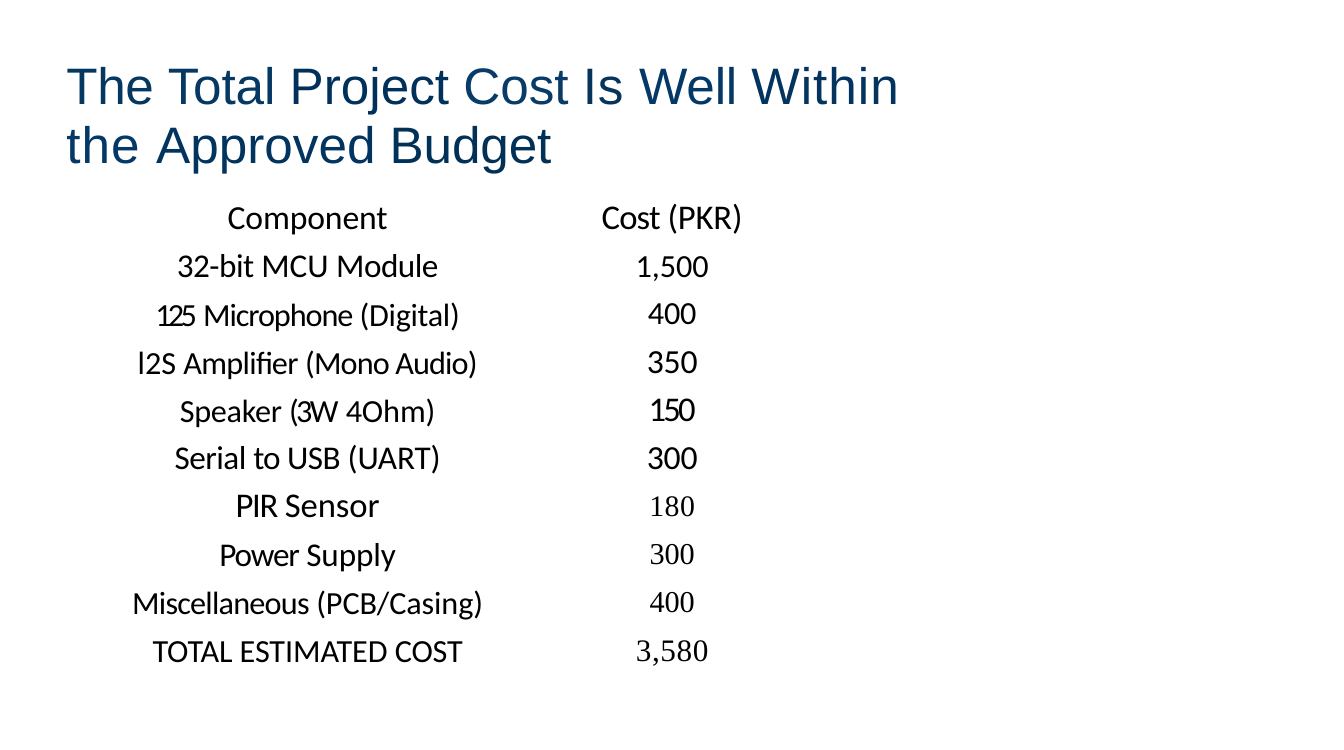
from pptx import Presentation
from pptx.dml.color import RGBColor
from pptx.enum.text import MSO_ANCHOR, MSO_AUTO_SIZE, PP_ALIGN
from pptx.util import Pt

LEFT, CENTER = PP_ALIGN.LEFT, PP_ALIGN.CENTER
TOP = MSO_ANCHOR.TOP
GROW = MSO_AUTO_SIZE.SHAPE_TO_FIT_TEXT
TITLE_ONLY = 5

SANS, SERIF, HEAD = "Calibri", "Times New Roman", "Arial"

# Left and right inset of each table column
SIDES = ((0, 56), (59.5, 0))

# Title runs: text, letter spacing, colour
TITLE = [
    ("The ", -0.4, "053860"), ("Total ", -0.1, "053862"),
    ("Project ", 0, "01315B"), ("Cost ", 0, "083B67"),
    ("Is ", 0.8, "07345B"), ("Well ", -0.2, "033867"),
    ("Within ", 1.1, "033460"), ("the ", 1.1, "033867"),
    ("Approved ", 0, "01345E"), ("Budget", -0.1, "013157"),
]

# Each cell: font, size, line height, top inset, runs of text and spacing
COSTS = [
    ((SANS, 34.5, 37.5, 0, [("Component", -0.1)]),
     (SANS, 35.5, 37.6, 0, [("Cost ", -0.9), ("(PKR)", -0.2)])),
    ((SANS, 34, 39.6, 0, [("32-bit ", -0.5), ("MCU ", 0), ("Module", -0.5)]),
     (SANS, 33, 39.5, 0, [("1,500", -0.1)])),
    ((SANS, 33, None, 0,
      [("125", -3.9), (" Microphone ", -1.1), ("(Digital)", -0.3)]),
     (SANS, 33, 39.1, 0, [("400", -0.2)])),
    ((SANS, 33, None, 1,
      [("l2S ", 0), ("Amplifier ", -0.7), ("(Mono Audio)", -0.9)]),
     (SANS, 34.5, 40.5, 0, [("350", -0.2)])),
    ((SANS, 33, None, 1,
      [("Speaker ", -0.3), ("(3W", -2.7), (" 4Ohm)", -0.1)]),
     (SANS, 35.5, 40.5, 0, [("150", -2.9)])),
    ((SANS, 34, 40.1, 0,
      [("Serial ", -0.5), ("to ", -1.1), ("USB ", -0.5), ("(UART)", -0.1)]),
     (SANS, 34.5, 40.2, 0, [("300", -0.2)])),
    ((SANS, 35.5, 40.9, 0, [("PIR ", -1.4), ("Sensor", -0.1)]),
     (SERIF, 30.5, None, 3.5, [("180", 0.5)])),
    ((SANS, 34, None, 0, [("Power ", -1.2), ("Supply", -0.1)]),
     (SERIF, 31, None, 3, [("300", -0.2)])),
    ((SANS, 33, None, 1, [("Miscellaneous ", -0.8), ("(PCB/Casing)", -0.1)]),
     (SERIF, 31, None, 3, [("400", -0.2)])),
    ((SANS, 33, None, 1.5, [("TOTAL ESTIMATED ", -0.1), ("COST", -0.2)]),
     (SERIF, 32, None, 3, [("3,580", 0.6)])),
]


def paint(font, code):
    font.color.rgb = RGBColor.from_string(code)


def write(para, text, face=SANS, size=33, color="000000", space=0):
    """Add a run; space is the letter spacing in points."""
    run = para.add_run()
    run.text = text
    run.font.name = face
    run.font.size = Pt(size)
    paint(run.font, color)
    run.font._element.set("spc", str(round(space * 100)))


def inset(box, top, left=0, right=0):
    box.margin_left, box.margin_right = Pt(left), Pt(right)
    box.margin_top, box.margin_bottom = Pt(top), Pt(0)


def layout(para, align, line=None):
    para.alignment = align
    if line:
        para.line_spacing = Pt(line)


class Deck:
    def __init__(self, width, height):
        self.show = Presentation()
        self.show.slide_width = Pt(width)
        self.show.slide_height = Pt(height)
        self.slide = self.show.slides.add_slide(
            self.show.slide_layouts[TITLE_ONLY])

    def title(self, runs, left, top, width, height):
        shape = self.slide.shapes.title
        shape.left, shape.top = Pt(left), Pt(top)
        shape.width, shape.height = Pt(width), Pt(height)
        frame = shape.text_frame
        frame.word_wrap = True
        frame.auto_size = GROW
        frame.vertical_anchor = TOP
        inset(frame, 5, left=1)
        para = frame.paragraphs[0]
        layout(para, LEFT, 60)
        for text, space, color in runs:
            write(para, text, face=HEAD, size=52.5, color=color, space=space)

    def table(self, rows, left, top, widths, heights):
        table = self.slide.shapes.add_table(
            len(rows), len(widths), Pt(left), Pt(top),
            Pt(sum(widths)), Pt(sum(heights))).table
        table.first_row = table.horz_banding = False
        for col, width in zip(table.columns, widths):
            col.width = Pt(width)
        for row, height, cells in zip(table.rows, heights, rows):
            row.height = Pt(height)
            for cell, data, sides in zip(row.cells, cells, SIDES):
                self.fill(cell, data, sides)

    def fill(self, cell, data, sides):
        face, size, line, top, runs = data
        cell.fill.background()
        inset(cell, top, *sides)
        para = cell.text_frame.paragraphs[0]
        layout(para, CENTER, line)
        for text, space in runs:
            write(para, text, face=face, size=size, space=space)


def main():
    deck = Deck(1376, 768)
    deck.title(TITLE, 67, 53, 936, 125)
    heights = [46.5] + [49] * (len(COSTS) - 2) + [43]
    deck.table(COSTS, 132.5, 207, (421, 210), heights)
    deck.show.save("out.pptx")


if __name__ == "__main__":
    main()
